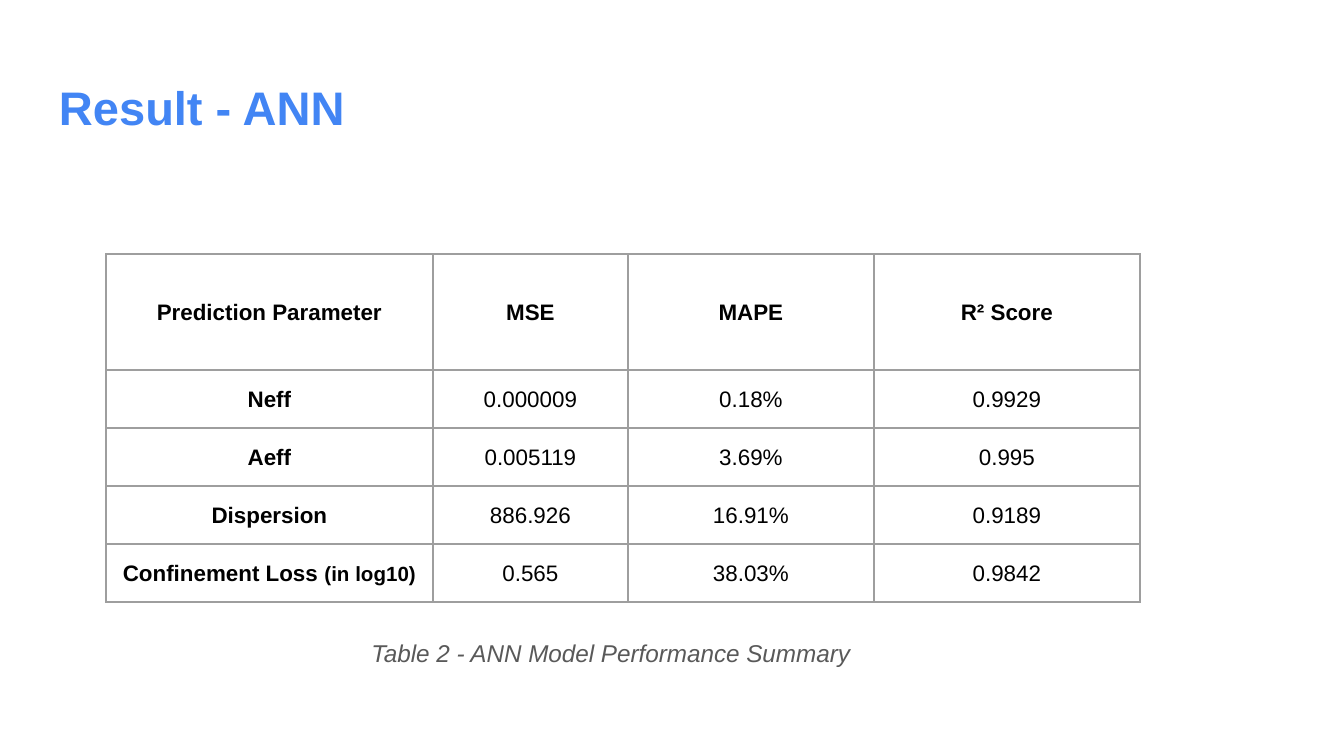
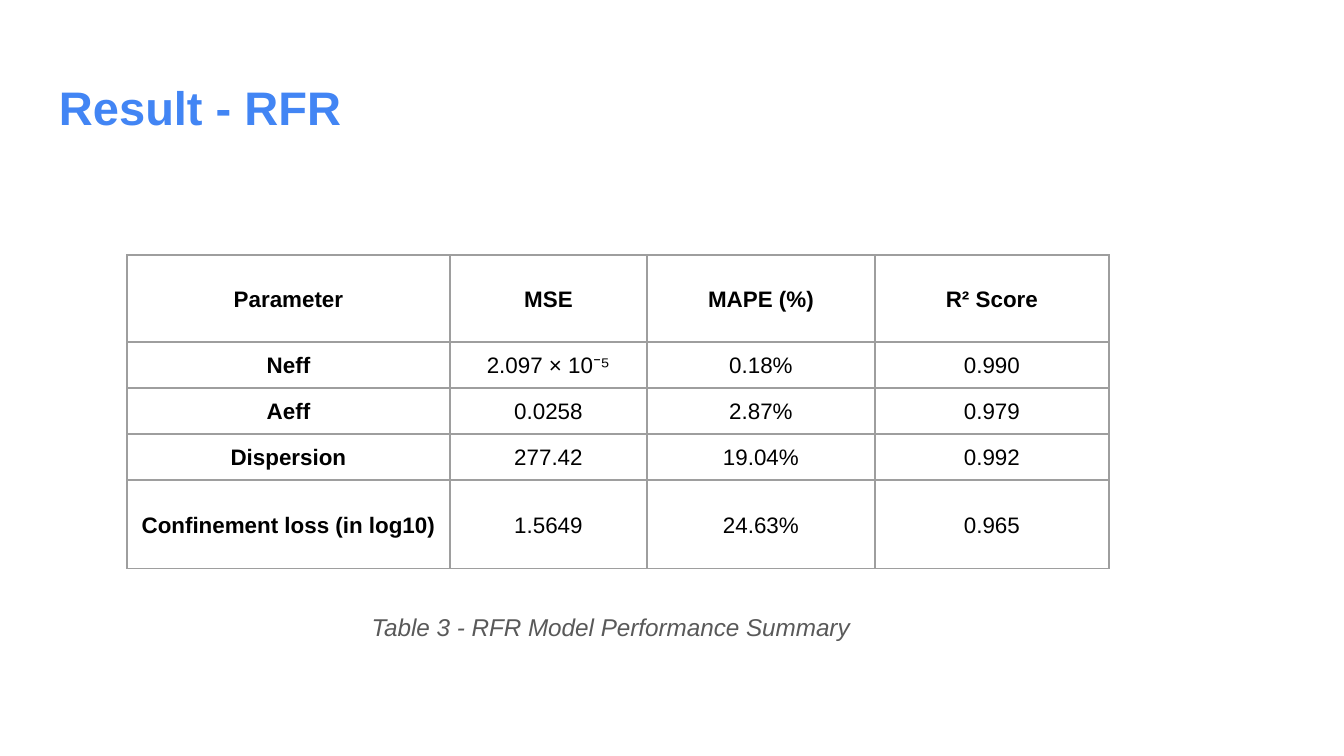
"""Build two slides that summarise the ANN and RFR model results."""
from lxml.etree import SubElement
from pptx import Presentation
from pptx.dml.color import RGBColor
from pptx.enum.text import MSO_ANCHOR, PP_ALIGN
from pptx.oxml.ns import qn
from pptx.util import Emu, Pt

EMU_PER_PX = 914400 / 134.4
FONT = "Arial"
BLUE, GREY, BLACK, RULE = "4285F4", "595959", "000000", "9E9E9E"
BODY_SIZE = 12

ANN_ROWS = [
    ["Prediction Parameter", "MSE", "MAPE", "R² Score"],
    ["Neff", "0.000009", "0.18%", "0.9929"],
    ["Aeff", "0.005119", "3.69%", "0.995"],
    ["Dispersion", "886.926", "16.91%", "0.9189"],
    [[("Confinement Loss ", BODY_SIZE), ("(in log10)", 11)], "0.565", "38.03%", "0.9842"],
]
RFR_ROWS = [
    ["Parameter", "MSE", "MAPE (%)", "R² Score"],
    ["Neff", "2.097 × 10⁻⁵", "0.18%", "0.990"],
    ["Aeff", "0.0258", "2.87%", "0.979"],
    ["Dispersion", "277.42", "19.04%", "0.992"],
    ["Confinement loss (in log10)", "1.5649", "24.63%", "0.965"],
]


def px(length):
    """Turn px into EMU."""
    return Emu(round(length * EMU_PER_PX))


def color(hex_string):
    """Turn a hex string into a colour."""
    return RGBColor.from_string(hex_string)


def add_run(paragraph, text, size, hex_color, bold=False, italic=False):
    """Add one styled run to a paragraph."""
    run = paragraph.add_run()
    run.text = text
    font = run.font
    font.name, font.size, font.bold, font.italic = FONT, Pt(size), bold, italic
    font.color.rgb = color(hex_color)


def add_text_box(slide, left, top, width, height):
    """Add a wrapping text box and return its first paragraph."""
    frame = slide.shapes.add_textbox(px(left), px(top), px(width), px(height)).text_frame
    frame.word_wrap = True
    frame.margin_left = frame.margin_right = px(13)
    frame.margin_top = frame.margin_bottom = px(13)
    return frame.paragraphs[0]


def add_title(slide, text):
    """Add the slide title."""
    add_run(add_text_box(slide, 46, 66, 1252, 85), text, 25.2, BLUE, bold=True)


def add_caption(slide, text, top, height):
    """Add the centred table caption."""
    caption = add_text_box(slide, 46, top, 1113, height)
    caption.alignment = PP_ALIGN.CENTER
    caption.line_spacing = 1.15
    caption._p.get_or_add_pPr().set("marL", str(px(16)))
    add_run(caption, text, 13, GREY, italic=True)


def rule_cell(cell):
    """Draw thin rules on all four sides of a cell without a fill."""
    properties = cell._tc.get_or_add_tcPr()
    for side in ("a:lnL", "a:lnR", "a:lnT", "a:lnB"):
        line = SubElement(properties, qn(side), w=str(Pt(0.75)))
        fill = SubElement(line, qn("a:solidFill"))
        SubElement(fill, qn("a:srgbClr"), val=RULE)
    cell.fill.background()


def fill_cell(cell, content, bold):
    """Write plain text or sized parts into a ruled cell."""
    rule_cell(cell)
    cell.vertical_anchor = MSO_ANCHOR.MIDDLE
    cell.margin_left = cell.margin_right = px(9)
    cell.margin_top = cell.margin_bottom = 0
    paragraph = cell.text_frame.paragraphs[0]
    paragraph.alignment = PP_ALIGN.CENTER
    paragraph.line_spacing = 1.07
    paragraph.space_after = Pt(8)
    parts = [(content, BODY_SIZE)] if isinstance(content, str) else content
    for text, size in parts:
        add_run(paragraph, text, size, BLACK, bold=bold)


def add_score_table(slide, left, top, widths, heights, rows):
    """Add a score table with a bold first row and first column."""
    table = slide.shapes.add_table(
        len(rows), len(widths), px(left), px(top), px(sum(widths)), px(sum(heights))
    ).table
    table.first_row = table.horz_banding = False
    for column, width in zip(table.columns, widths):
        column.width = px(width)
    for row, height in zip(table.rows, heights):
        row.height = px(height)
    for r, row in enumerate(rows):
        for c, content in enumerate(row):
            fill_cell(table.cell(r, c), content, bold=r == 0 or c == 0)


def main():
    """Build and save both result slides."""
    deck = Presentation()
    deck.slide_width, deck.slide_height = px(1344), px(756)
    blank = deck.slide_layouts[6]

    ann = deck.slides.add_slide(blank)
    add_title(ann, "Result - ANN")
    add_caption(ann, "Table 2 - ANN Model Performance Summary", 621, 69)
    add_score_table(ann, 106, 254, [327, 195, 246, 266], [116] + [58] * 4, ANN_ROWS)

    rfr = deck.slides.add_slide(blank)
    add_title(rfr, "Result - RFR")
    add_caption(rfr, "Table 3 - RFR Model Performance Summary", 595, 79)
    add_score_table(rfr, 127, 255, [323, 197, 228, 234], [87] + [46] * 3 + [89], RFR_ROWS)

    deck.save("out.pptx")


if __name__ == "__main__":
    main()
